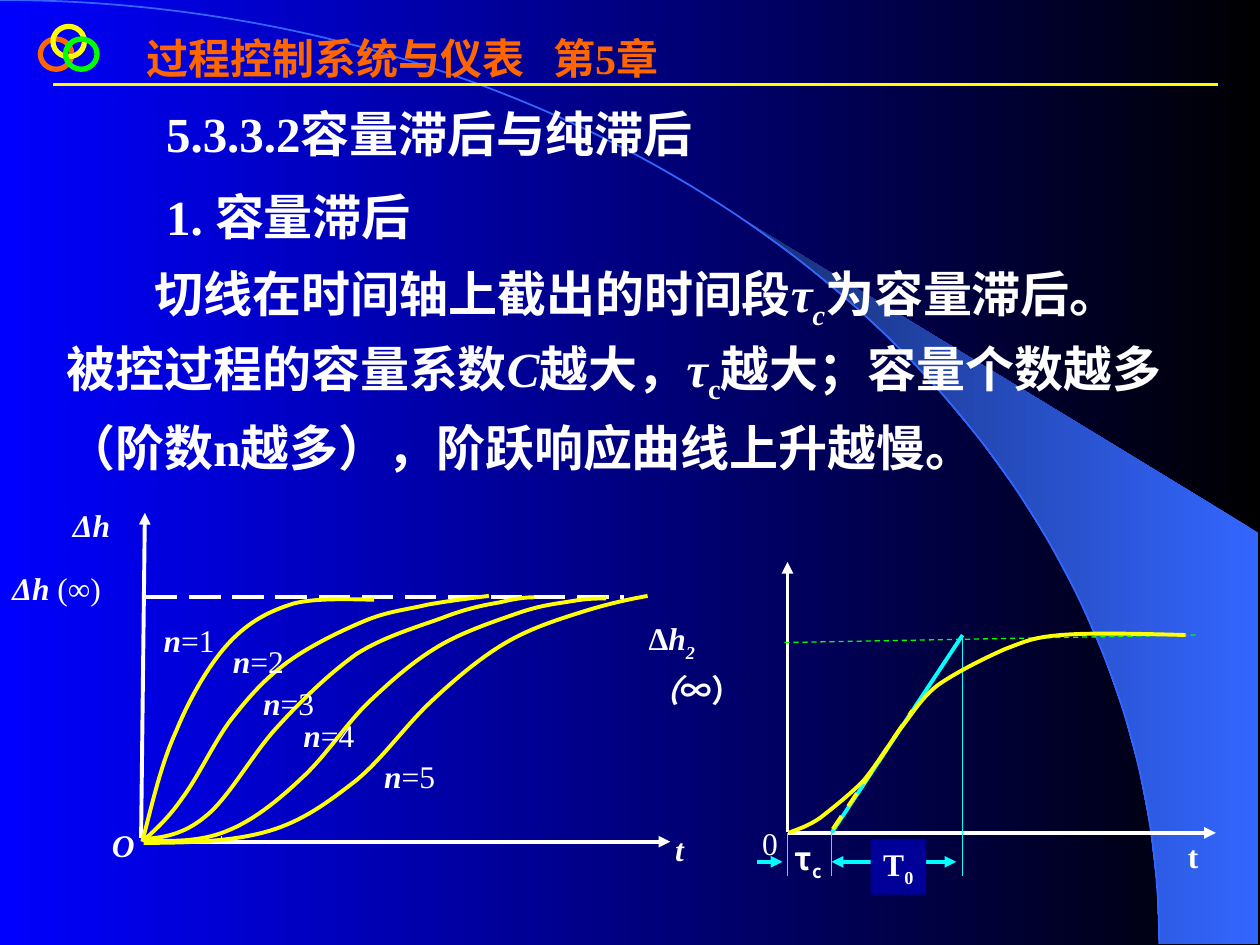
from dataclasses import dataclass
from math import asin, cos, pi, sin
from typing import NamedTuple

from lxml import etree
from pptx import Presentation
from pptx.dml.color import RGBColor
from pptx.enum.dml import MSO_LINE
from pptx.enum.shapes import MSO_CONNECTOR, MSO_SHAPE
from pptx.enum.text import MSO_ANCHOR, MSO_AUTO_SIZE, PP_ALIGN
from pptx.oxml.ns import qn
from pptx.util import Pt

PX = 9144  # EMU in one px, 100 px to the inch
LEFT, MID, JUST = PP_ALIGN.LEFT, PP_ALIGN.CENTER, PP_ALIGN.JUSTIFY
TOP, CENTER = MSO_ANCHOR.TOP, MSO_ANCHOR.MIDDLE
DASH, LONG = MSO_LINE.DASH, MSO_LINE.LONG_DASH
OVAL, ARC, RECT = MSO_SHAPE.OVAL, MSO_SHAPE.ARC, MSO_SHAPE.RECTANGLE
SERIF, SANS = "Times New Roman", "Noto Sans CJK SC"
COLORS = {
    "black": "000000", "blue": "0000FF", "sky": "3366FF", "navy": "172F75",
    "box": "000099", "white": "FFFFFF", "yellow": "FFFF00", "orange": "FF6600",
    "green": "00FF00", "cyan": "00FFFF",
}


class Run(NamedTuple):
    text: str
    bold: bool = True
    italic: bool = False
    base: int = 0


@dataclass
class Label:
    box: tuple
    paras: list
    size: int = 18
    align: PP_ALIGN = LEFT
    anchor: MSO_ANCHOR = TOP
    space: float = 1.0
    before: int = 0
    indent: int = 0
    wrap: bool = True
    font: str = SERIF
    color: str = "white"


@dataclass
class Line:
    ends: tuple
    color: str = "white"
    width: float = 2.25
    dash: MSO_LINE | None = None
    arrows: tuple = ()


def rgb(name: str) -> RGBColor:
    return RGBColor.from_string(COLORS[name])


def emu(*vals: float) -> list[int]:
    return [round(v * PX) for v in vals]


def blend(fill, first: str, last: str) -> None:
    fill.gradient()
    fill.gradient_angle = 180
    for stop, name in zip(fill.gradient_stops, (first, last)):
        stop.color.rgb = rgb(name)


def stroke(shape, color: str, width: float) -> None:
    shape.line.color.rgb = rgb(color)
    shape.line.width = Pt(width)


def write(shape, label: Label) -> None:
    frame = shape.text_frame
    form = {"auto_size": MSO_AUTO_SIZE.NONE, "word_wrap": label.wrap,
            "vertical_anchor": label.anchor}
    for key, val in form.items():
        setattr(frame, key, val)
    for num, runs in enumerate(label.paras):
        para = frame.add_paragraph() if num else frame.paragraphs[0]
        form = {"alignment": label.align, "line_spacing": label.space,
                "space_before": Pt(label.before if num else 0)}
        for key, val in form.items():
            setattr(para, key, val)
        if label.indent:
            para._p.get_or_add_pPr().set("indent", str(label.indent * PX))
        for item in runs:
            run = para.add_run()
            run.text = item.text
            form = {"name": label.font, "size": Pt(label.size),
                    "bold": item.bold, "italic": item.italic}
            for key, val in form.items():
                setattr(run.font, key, val)
            run.font.color.rgb = rgb(label.color)
            props = run._r.get_or_add_rPr()
            etree.SubElement(props, qn("a:ea")).set("typeface", SANS)
            if item.base:
                props.set("baseline", str(item.base * 1000))


def draw_label(shapes, label: Label) -> None:
    write(shapes.add_textbox(*emu(*label.box)), label)


def draw_line(shapes, line: Line) -> None:
    conn = shapes.add_connector(MSO_CONNECTOR.STRAIGHT, *emu(*line.ends))
    stroke(conn, line.color, line.width)
    if line.dash:
        conn.line.dash_style = line.dash
    props = conn._element.spPr
    for end in line.arrows:
        etree.SubElement(props.find(qn("a:ln")), qn(f"a:{end}")).set("type", "triangle")
    etree.SubElement(props, qn("a:effectLst"))


def draw_round(shapes, kind, box: tuple, color: str, width: float) -> None:
    """An unfilled preset shape with a coloured line."""
    shape = shapes.add_shape(kind, *emu(*box))
    shape.shadow.inherit = False
    shape.fill.background()
    stroke(shape, color, width)


def outline(shapes, pts: list, close: bool = False):
    path = [emu(*p) for p in pts]
    pen = shapes.build_freeform(*path[0], scale=1.0)
    pen.add_line_segments(path[1:], close=close)
    shape = pen.convert_to_shape()
    shape.shadow.inherit = False
    return shape


def draw_curve(shapes, knots: list) -> None:
    """A chain of cubic Bezier arcs: the start, then three knots each."""
    shape = outline(shapes, knots)
    shape.fill.background()
    stroke(shape, "yellow", 2.25)
    path = next(shape._element.iter(qn("a:path")))
    legs = path.findall(qn("a:lnTo"))
    for i in range(0, len(legs), 3):
        cubic = etree.SubElement(path, qn("a:cubicBezTo"))
        for leg in legs[i:i + 3]:
            cubic.append(leg[0])
            path.remove(leg)


def draw_moon(shapes) -> None:
    wide, high, count = 920, 749, 14
    start = asin(589 / wide)
    turns = [start + (pi / 2 - start) * n / count for n in range(count + 1)]
    edge = [(wide * sin(t), high * (1 - cos(t))) for t in turns]
    moon = outline(shapes, [*edge, (999, 749), (999, 423)], True)
    blend(moon.fill, "sky", "navy")
    moon.line.fill.background()
    draw_round(shapes, ARC, (-wide, 0, 2 * wide, 2 * high), "sky", 1)


RINGS = [(32, 31, "orange"), (42, 21, "yellow"), (52, 31, "green")]
HEAD = Label((106, 21, 449, 90), [[Run("过程控制系统与仪表\t第5章")]], 24, color="orange")
BODY = {"size": 28, "space": 1.2, "before": 7}
AXIS = {"align": JUST, "space": 1.2}
TEXTS = [
    Label((122, 68, 575, 132), [[Run("5.3.3.2容量滞后与纯滞后")], [Run("1. 容量滞后")]], **BODY),
    Label((43, 194, 898, 74), [[Run("切线在时间轴上截出的时间段"), Run("τ", italic=True),
          Run("c", italic=True, base=-25), Run("为容量滞后。")]],
          align=JUST, indent=70, **BODY),
    Label((43, 253, 929, 130), [[Run("被控过程的容量系数"), Run("C", italic=True),
          Run("越大，"), Run("τ", italic=True), Run("c", base=-25),
          Run("越大；容量个数越多（阶数n越多），阶跃响应曲线上升越慢。")]],
          anchor=CENTER, **BODY),
    Label((0, 441, 124, 42), [[Run("Δh", italic=True), Run(" (∞)", False)]], **AXIS),
    Label((79, 645, 44, 42), [[Run("O", italic=True)]], **AXIS),
    Label((526, 648, 44, 42), [[Run("t", italic=True)]], **AXIS),
    Label((48, 391, 82, 42), [[Run("Δh", italic=True)]], **AXIS),
    Label((595, 649, 32, 40), [[Run("0", False)]], wrap=False),
    Label((933, 659, 49, 40), [[Run("t")]]),
    Label((611, 661, 61, 44), [[Run("τ"), Run("c", base=-25)]], align=MID, font=SANS),
    Label((505, 479, 125, 53), [[Run("Δ"), Run("h", italic=True),
          Run("2", italic=True, base=-30), Run("（", italic=True), Run("∞）")]], space=1.2),
]
ORDERS = [(120, 482), (175, 499), (199, 532), (231, 557), (295, 590)]
SPAN = Label((691, 666, 44, 44), [[Run("T"), Run("0", base=-25)]], align=MID, wrap=False)

TAIL = ("tailEnd",)
LINES = [
    Line((112, 665, 115, 407), arrows=TAIL),
    Line((116, 668, 532, 668), arrows=TAIL),
    Line((116, 474, 495, 474), dash=LONG),
    Line((175, 665, 176, 665), "yellow"),
    Line((115, 665, 115, 668), "yellow"),
    Line((625, 660, 625, 446), arrows=TAIL),
    Line((625, 661, 965, 661), arrows=TAIL),
    Line((949, 504, 620, 510), "green", 0.75, DASH),
    Line((764, 504, 660, 661), "cyan"),
    *(Line((x, y, x, 695), "cyan", 0.75) for x, y in ((625, 661), (660, 661), (764, 504))),
    Line((660, 684, 759, 684), "cyan", arrows=("headEnd", "tailEnd")),
    Line((601, 684, 621, 684), "cyan", arrows=TAIL),
]
TANGENT = Line((661, 658, 724, 564), "yellow", dash=DASH)
CURVES = [
    [(113, 668), (121, 637), (128, 606), (140, 580), (151, 553), (167, 526), (182, 510),
     (198, 493), (214, 485), (233, 479), (252, 474), (287, 476), (297, 476)],
    [(114, 667), (124, 658), (134, 649), (145, 633), (157, 617), (169, 591), (182, 573),
     (196, 555), (208, 541), (225, 528), (243, 514), (270, 501), (289, 493),
     (308, 485), (323, 484), (339, 480), (356, 477), (372, 475), (388, 473)],
    [(112, 666), (128, 665), (145, 663), (163, 648), (182, 633), (201, 597), (221, 576),
     (241, 554), (262, 534), (283, 519), (305, 505), (333, 497), (352, 490),
     (370, 483), (385, 480), (397, 478), (409, 475), (417, 474), (424, 474)],
    [(114, 667), (136, 668), (159, 668), (179, 660), (200, 652), (220, 636), (239, 618),
     (258, 601), (275, 574), (293, 557), (312, 539), (328, 525), (348, 513),
     (368, 501), (396, 492), (413, 486), (431, 480), (443, 479), (455, 477),
     (466, 475), (474, 475), (481, 475)],
    [(114, 669), (149, 669), (184, 668), (212, 660), (240, 652), (260, 637), (282, 620),
     (303, 603), (321, 577), (341, 558), (360, 540), (380, 523), (400, 511),
     (420, 499), (442, 492), (461, 486), (480, 480), (497, 476), (514, 473)],
    [(626, 661), (633, 658), (641, 656), (651, 649), (660, 642), (674, 631), (685, 620),
     (695, 608), (705, 592), (714, 579), (724, 567), (730, 555), (744, 544),
     (758, 534), (782, 522), (798, 515), (814, 509), (819, 506), (842, 504),
     (866, 502), (903, 503), (941, 504)],
]


def main() -> None:
    deck = Presentation()
    deck.slide_width, deck.slide_height = emu(1000, 750)
    slide = deck.slides.add_slide(deck.slide_layouts[5])
    shapes = slide.shapes
    blend(slide.background.fill, "black", "blue")
    draw_moon(shapes)
    draw_line(shapes, Line((42, 67, 967, 67), "yellow", 1.5))
    for left, top, color in RINGS:
        draw_round(shapes, OVAL, (left, top, 25, 24), color, 3)

    title = shapes.title
    title.left, title.top, title.width, title.height = emu(*HEAD.box)
    write(title, HEAD)
    stops = etree.SubElement(title.text_frame.paragraphs[0]._p.pPr, qn("a:tabLst"))
    etree.SubElement(stops, qn("a:tab"), pos=str(323 * PX), algn="l")
    shapes._spTree.append(title._element)  # bring the title above the arc

    for line in LINES:
        draw_line(shapes, line)
    for knots in CURVES:
        draw_curve(shapes, knots)
    draw_line(shapes, TANGENT)
    for num, (left, top) in enumerate(ORDERS, 1):
        runs = [Run("n", italic=True), Run(f"={num}", False)]
        draw_label(shapes, Label((left, top, 64, 50), [runs], **AXIS))
    for label in TEXTS:
        draw_label(shapes, label)
    tile = shapes.add_shape(RECT, *emu(*SPAN.box))
    tile.shadow.inherit = False
    tile.fill.solid()
    tile.fill.fore_color.rgb = rgb("box")
    tile.line.fill.background()
    write(tile, SPAN)
    deck.save("out.pptx")


if __name__ == "__main__":
    main()
